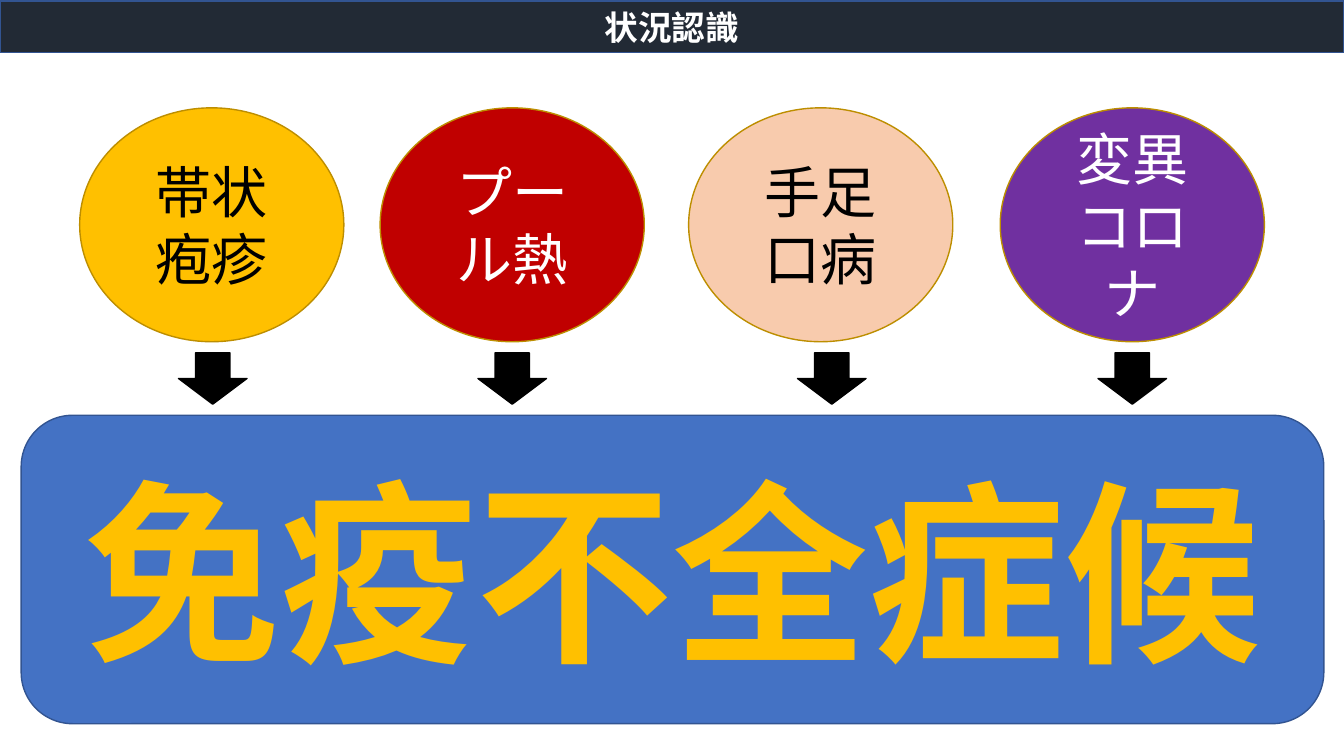
from lxml.etree import SubElement
from pptx import Presentation
from pptx.dml.color import RGBColor
from pptx.enum.shapes import MSO_SHAPE
from pptx.enum.text import MSO_ANCHOR, PP_ALIGN
from pptx.oxml.ns import qn
from pptx.util import Inches, Pt


def color(hex_code):
    return RGBColor.from_string(hex_code)


class SlideBuilder:
    font_name = "Noto Sans CJK JP"
    blue_line = "325491"
    gold_line = "BD8E00"

    def __init__(self, slide):
        self.slide = slide

    def shape(self, kind, box, fill, line):
        shape = self.slide.shapes.add_shape(kind, *map(Inches, box))
        shape.shadow.inherit = False
        shape.fill.solid()
        shape.fill.fore_color.rgb = color(fill)
        shape.line.color.rgb = color(line)
        shape.line.width = Pt(1)
        return shape

    def label(self, shape, lines, size, text_color, bold=False):
        frame = shape.text_frame
        frame.word_wrap = True
        frame.vertical_anchor = MSO_ANCHOR.MIDDLE
        font_format = {"name": self.font_name, "size": Pt(size), "bold": bold}
        for index, line in enumerate(lines):
            paragraph = frame.add_paragraph() if index else frame.paragraphs[0]
            paragraph.alignment = PP_ALIGN.CENTER
            run = paragraph.add_run()
            run.text = line
            for name, value in font_format.items():
                setattr(run.font, name, value)
            run.font.color.rgb = color(text_color)
            # East Asian text takes its typeface from a:ea
            east_asian = SubElement(run.font._element, qn("a:ea"))
            east_asian.set("typeface", self.font_name)

    def panel(self, kind, box, fill, text, size, text_color):
        shape = self.shape(kind, box, fill, self.blue_line)
        self.label(shape, [text], size, text_color, bold=True)

    def disease(self, left, fill, lines, text_color):
        box = (left, 1.07, 2.62, 2.32)
        shape = self.shape(MSO_SHAPE.OVAL, box, fill, self.gold_line)
        self.label(shape, lines, 40, text_color)

    def down_arrow(self, left):
        self.shape(MSO_SHAPE.DOWN_ARROW, (left, 3.5, 0.68, 0.51), "000000", "000000")


def main():
    presentation = Presentation()
    presentation.slide_width = Inches(13.33)
    presentation.slide_height = Inches(7.5)
    slide = presentation.slides.add_slide(presentation.slide_layouts[6])
    builder = SlideBuilder(slide)

    # Title bar and conclusion
    builder.panel(MSO_SHAPE.RECTANGLE, (0, 0.01, 13.33, 0.51),
                  "222A35", "状況認識", 24, "FFFFFF")
    builder.panel(MSO_SHAPE.ROUNDED_RECTANGLE, (0.21, 4.12, 12.92, 3.06),
                  "4472C4", "免疫不全症候", 140, "FFC000")

    # Diseases, each with an arrow to the conclusion
    diseases = [
        (0.79, 1.77, "FFC000", ["帯状疱疹"], "000000"),
        (3.77, 4.74, "C00000", ["プール熱"], "FFFFFF"),
        (6.83, 7.91, "F8CBAD", ["手足口病"], "000000"),
        (9.92, 10.89, "7030A0", ["変異", "コロナ"], "FFFFFF"),
    ]
    for left, arrow_left, fill, lines, text_color in diseases:
        builder.disease(left, fill, lines, text_color)
        builder.down_arrow(arrow_left)

    presentation.save("out.pptx")


if __name__ == "__main__":
    main()
